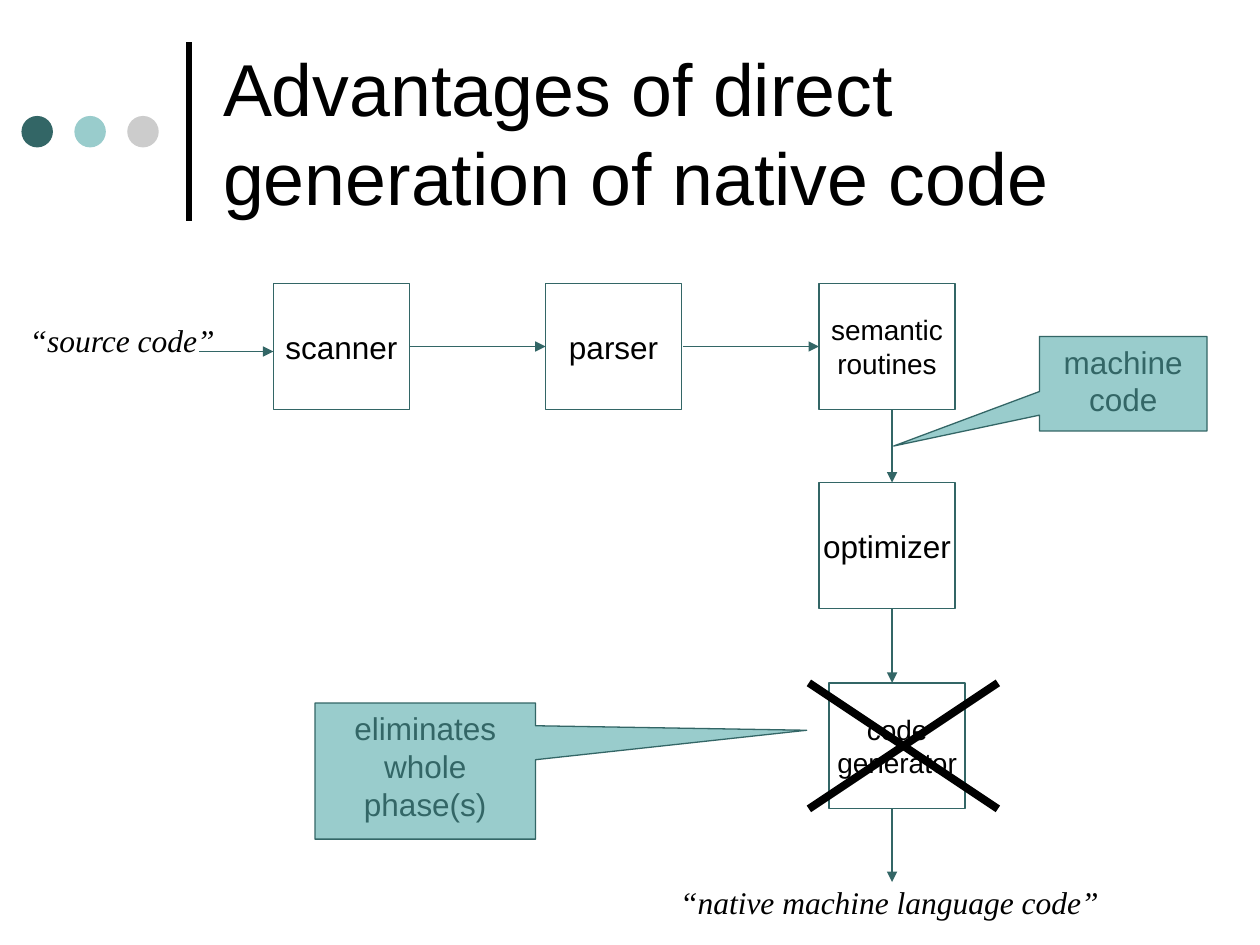
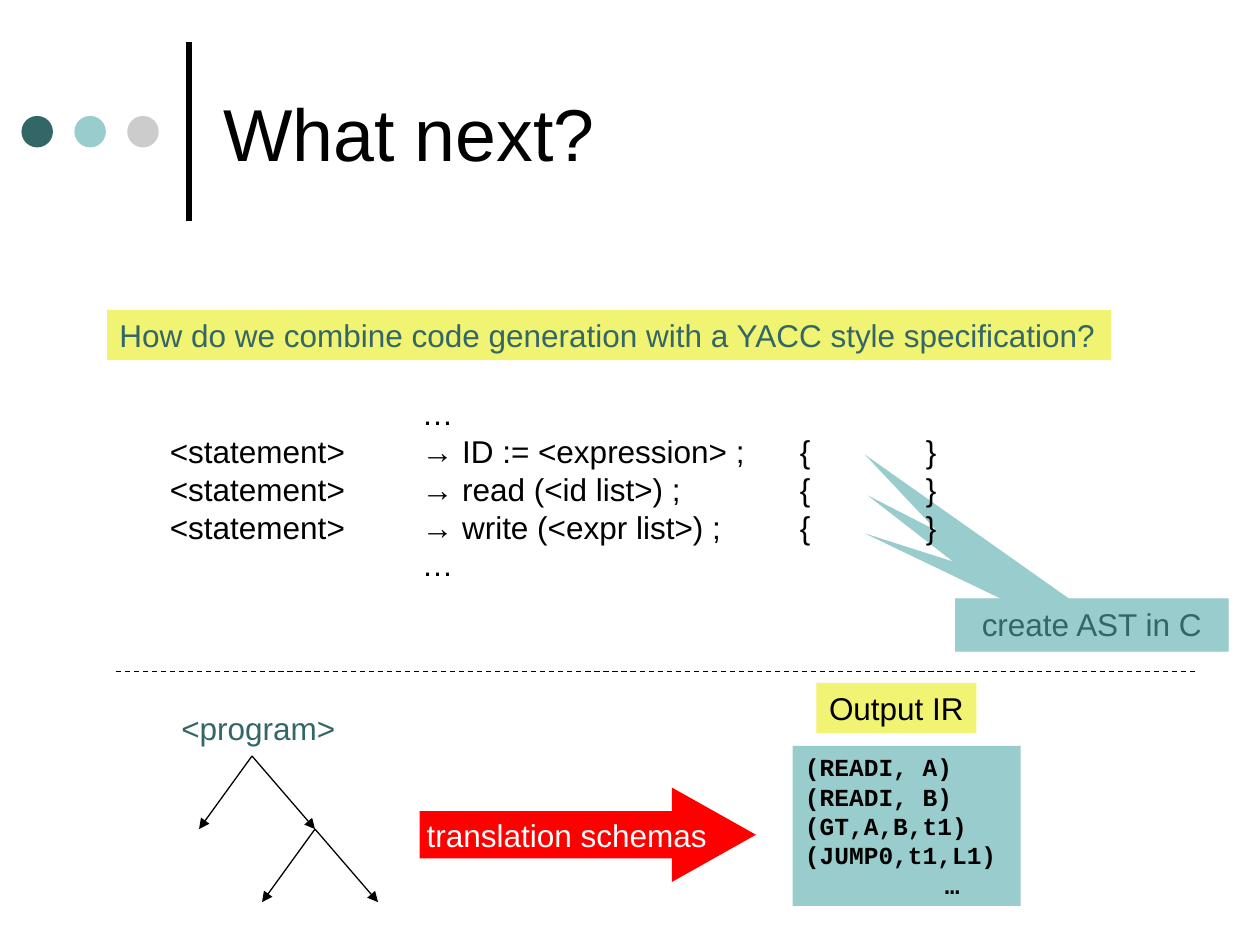
import pptx
import pptx.util
import pptx.dml.color
import pptx.enum.dml
import pptx.enum.shapes
import pptx.enum.text
import pptx.oxml
import pptx.oxml.ns

Inches = pptx.util.Inches
SHAPE = pptx.enum.shapes.MSO_SHAPE
ALIGN = pptx.enum.text.PP_ALIGN
ANCHOR = pptx.enum.text.MSO_ANCHOR

BLACK, WHITE, RED = "000000", "FFFFFF", "FF0000"
TEAL, AQUA, GREY, YELLOW = "336666", "99CCCC", "CCCCCC", "F1F472"
SANS, SERIF, MONO = "Arial", "Times New Roman", "Courier New"
BOX_W, BOX_H = 1.08, 1


def rgb(color):
    return pptx.dml.color.RGBColor.from_string(color)


def child(parent, tag, **attrs):
    el = pptx.oxml.parse_xml(f"<a:{tag} {pptx.oxml.ns.nsdecls('a')}/>")
    for key, value in attrs.items():
        el.set(key, str(value))
    parent.append(el)
    return el


def write(sp, text, size=18, font=SANS, color=BLACK, bold=False, italic=False,
          align=ALIGN.CENTER, anchor=ANCHOR.TOP, wrap=False, tabs=()):
    tf = sp.text_frame
    tf.auto_size = pptx.enum.text.MSO_AUTO_SIZE.NONE
    tf.word_wrap = wrap
    tf.vertical_anchor = anchor
    tf.margin_left = tf.margin_right = Inches(0.1)
    tf.margin_top = tf.margin_bottom = Inches(0.05)
    for i, words in enumerate(text.split("\n")):
        p = tf.add_paragraph() if i else tf.paragraphs[0]
        p.alignment = align
        if tabs:
            tab_list = child(p._p.get_or_add_pPr(), "tabLst")
            for pos in tabs:
                child(tab_list, "tab", pos=Inches(pos), algn="l")
        r = p.add_run()
        r.text = words
        r.font.size = pptx.util.Pt(size)
        r.font.name = font
        r.font.bold = bold
        r.font.italic = italic
        r.font.color.rgb = rgb(color)
    return tf


def add_shape(s, kind, x, y, w, h, fill, outline=None, adj=()):
    sp = s.shapes.add_shape(kind, Inches(x), Inches(y), Inches(w), Inches(h))
    sp.shadow.inherit = False
    sp.fill.solid()
    sp.fill.fore_color.rgb = rgb(fill)
    if outline:
        sp.line.color.rgb = rgb(outline)
        sp.line.width = pptx.util.Pt(0.75)
    else:
        sp.line.fill.background()
    for i, value in enumerate(adj):
        sp.adjustments[i] = value
    return sp


def add_text(s, x, y, w, h, text, **fmt):
    sp = s.shapes.add_textbox(Inches(x), Inches(y), Inches(w), Inches(h))
    return write(sp, text, **fmt)


def add_line(s, x1, y1, x2, y2, color=BLACK, width=0.75, arrow=False, dashed=False):
    cx = s.shapes.add_connector(pptx.enum.shapes.MSO_CONNECTOR.STRAIGHT,
                                Inches(x1), Inches(y1), Inches(x2), Inches(y2))
    cx.line.color.rgb = rgb(color)
    cx.line.width = pptx.util.Pt(width)
    if dashed:
        cx.line.dash_style = pptx.enum.dml.MSO_LINE.DASH
    if arrow:
        child(cx.line._get_or_add_ln(), "tailEnd", type="triangle")
    child(cx._element.spPr, "effectLst")


def add_callout(s, x, y, w, h, tip, text=None, outline=None):
    sp = add_shape(s, SHAPE.RECTANGULAR_CALLOUT, x, y, w, h, AQUA, outline, tip)
    if text:
        write(sp, text, color=TEAL, wrap=True)


def add_phase(s, x, y, text):
    sp = add_shape(s, SHAPE.RECTANGLE, x, y, BOX_W, BOX_H, WHITE, TEAL)
    write(sp, text, size=16 if "\n" in text else 18, anchor=ANCHOR.MIDDLE)


def add_label(s, x, y, w, h, fill, text, **fmt):
    return write(add_shape(s, SHAPE.RECTANGLE, x, y, w, h, fill), text, **fmt)


def new_slide(prs, title):
    s = prs.slides.add_slide(prs.slide_layouts[5])
    add_line(s, 1.5, 1.75, 1.5, 0.33, width=3)
    for i, color in enumerate((TEAL, AQUA, GREY)):
        add_shape(s, SHAPE.OVAL, 0.17 + 0.42 * i, 0.92, 0.25, 0.25, color)
    sp = s.shapes.title
    sp.left, sp.top, sp.width, sp.height = map(Inches, (1.67, 0.21, 7.67, 1.67))
    write(sp, title, size=42, align=ALIGN.LEFT, anchor=ANCHOR.MIDDLE, wrap=True)
    return s


def build_advantages(prs):
    s = new_slide(prs, "Advantages of direct generation of native code")
    for x, y, name in ((2.17, 2.25, "scanner"), (4.33, 2.25, "parser"),
                       (6.5, 2.25, "semantic\nroutines"), (6.5, 3.83, "optimizer"),
                       (6.58, 5.42, "code\ngenerator")):
        add_phase(s, x, y, name)
    for x1, y1, x2, y2 in ((1.58, 2.79, 2.17, 2.79), (3.25, 2.75, 4.33, 2.75),
                           (5.42, 2.75, 6.5, 2.75), (7.08, 3.25, 7.08, 3.83),
                           (7.08, 4.83, 7.08, 5.42), (7.08, 6.42, 7.08, 7)):
        add_line(s, x1, y1, x2, y2, TEAL, arrow=True)
    add_text(s, 5.3, 6.96, 3.52, 0.4, "“native machine language code”", font=SERIF, italic=True)
    add_text(s, 0.13, 2.5, 1.68, 0.4, "“source code”", font=SERIF, italic=True)
    add_callout(s, 2.5, 5.58, 1.75, 1.08, (1.73, -0.3), "eliminates whole phase(s)", TEAL)
    add_callout(s, 8.25, 2.67, 1.33, 0.75, (-1.37, 0.66), "machine\ncode", TEAL)
    for start, end in ((6.42, 7.92), (7.92, 6.42)):
        add_line(s, start, 5.42, end, 6.42, width=4.5)


def build_next(prs):
    s = new_slide(prs, "What next?")
    for tip, text in (((-0.83, -3.22), None), ((-0.82, -2.45), None),
                      ((-0.83, -1.73), "create AST in C")):
        add_callout(s, 7.58, 4.75, 2.17, 0.42, tip, text)
    rules = ("ID := <expression> ;", "read (<id list>) ;", "write (<expr list>) ;")
    grammar = ["\t\t…", *(f"<statement>\t→ {rule}\t{{\t}}" for rule in rules), "\t\t…"]
    add_text(s, 1.25, 3.08, 7.27, 1.6, "\n".join(grammar), align=ALIGN.LEFT,
             wrap=True, tabs=range(1, 8))
    add_label(s, 0.85, 2.46, 7.97, 0.4, YELLOW,
              "How do we combine code generation with a YACC style specification?",
              color=TEAL, align=ALIGN.LEFT)
    add_text(s, 1.34, 5.58, 1.42, 0.4, "<program>", color=TEAL)
    for x, y, ends in ((2, 6, (1.58, 2.5)), (2.5, 6.58, (2.08, 3))):
        for end in ends:
            add_line(s, x, y, end, y + 0.58, arrow=True)
    arrow = add_shape(s, SHAPE.RIGHT_ARROW, 3.33, 6.25, 2.67, 0.75, RED, adj=(0.5, 0.89))
    write(arrow, "translation schemas", color=WHITE, anchor=ANCHOR.MIDDLE)
    tf = add_label(s, 6.29, 5.92, 1.81, 1.27, AQUA,
                   "(READI, A)\n(READI, B)\n(GT,A,B,t1)\n(JUMP0,t1,L1)\n…",
                   size=14, font=MONO, bold=True, align=ALIGN.LEFT, wrap=True)
    tf.paragraphs[-1]._p.get_or_add_pPr().set("marL", str(Inches(1.11)))
    add_label(s, 6.48, 5.42, 1.27, 0.4, YELLOW, "Output IR")
    add_line(s, 0.92, 5.33, 9.5, 5.33, dashed=True)


def main():
    prs = pptx.Presentation()
    prs.slide_width, prs.slide_height = Inches(10), Inches(7.5)
    build_advantages(prs)
    build_next(prs)
    prs.save("out.pptx")


if __name__ == "__main__":
    main()
